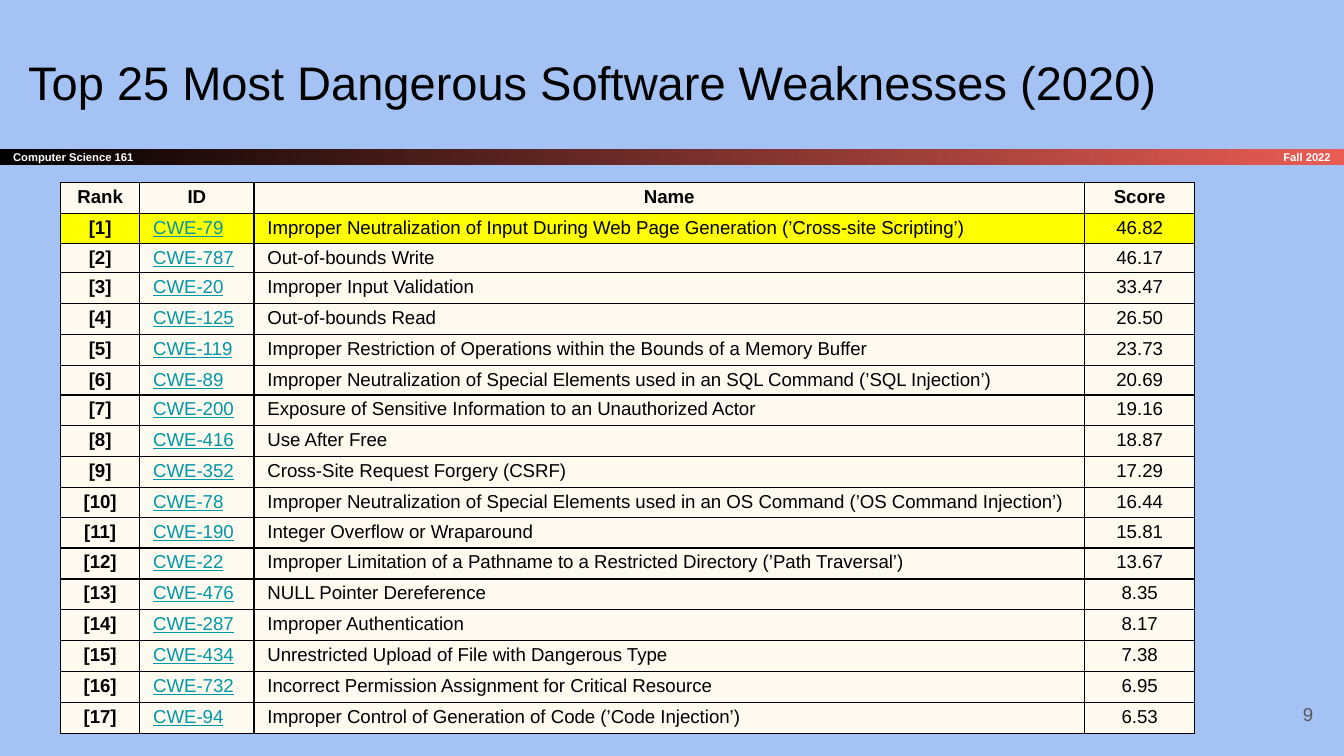
"""Build the slide that ranks the most dangerous software weaknesses of 2020."""
from dataclasses import dataclass

from lxml import etree
from pptx import Presentation
from pptx import util as u
from pptx.dml.color import RGBColor
from pptx.enum import shapes, text
from pptx.oxml import ns

SKY = RGBColor(0xA4, 0xC2, 0xF4)
BLACK = RGBColor(0x00, 0x00, 0x00)
WHITE = RGBColor(0xFF, 0xFF, 0xFF)
CORAL = RGBColor(0xE8, 0x5C, 0x54)
CREAM = RGBColor(0xFF, 0xFA, 0xF0)
YELLOW = RGBColor(0xFF, 0xFF, 0x00)
TEAL = RGBColor(0x00, 0x97, 0xA7)
GRAY = RGBColor(0x59, 0x59, 0x59)

LEFT, CENTER, RIGHT = text.PP_ALIGN.LEFT, text.PP_ALIGN.CENTER, text.PP_ALIGN.RIGHT
MIDDLE, BOTTOM = text.MSO_ANCHOR.MIDDLE, text.MSO_ANCHOR.BOTTOM
FONT = "Arial"
SLIDE_WIDTH = 10
SLIDE_HEIGHT = SLIDE_WIDTH * 9 / 16


@dataclass(frozen=True)
class Weakness:
    number: int
    name: str
    score: str


@dataclass(frozen=True)
class Column:
    heading: str
    width: float
    align: text.PP_ALIGN = CENTER
    color: RGBColor = BLACK
    bold: bool = False
    underline: bool = False


COLUMNS = [
    Column("Rank", 0.59, bold=True),
    Column("ID", 0.85, LEFT, TEAL, underline=True),
    Column("Name", 6.18, LEFT),
    Column("Score", 0.82),
]
WEAKNESSES = [
    Weakness(79, "Improper Neutralization of Input During Web Page Generation (’Cross-site Scripting’)", "46.82"),
    Weakness(787, "Out-of-bounds Write", "46.17"),
    Weakness(20, "Improper Input Validation", "33.47"),
    Weakness(125, "Out-of-bounds Read", "26.50"),
    Weakness(119, "Improper Restriction of Operations within the Bounds of a Memory Buffer", "23.73"),
    Weakness(89, "Improper Neutralization of Special Elements used in an SQL Command (’SQL Injection’)", "20.69"),
    Weakness(200, "Exposure of Sensitive Information to an Unauthorized Actor", "19.16"),
    Weakness(416, "Use After Free", "18.87"),
    Weakness(352, "Cross-Site Request Forgery (CSRF)", "17.29"),
    Weakness(78, "Improper Neutralization of Special Elements used in an OS Command (’OS Command Injection’)", "16.44"),
    Weakness(190, "Integer Overflow or Wraparound", "15.81"),
    Weakness(22, "Improper Limitation of a Pathname to a Restricted Directory (’Path Traversal’)", "13.67"),
    Weakness(476, "NULL Pointer Dereference", "8.35"),
    Weakness(287, "Improper Authentication", "8.17"),
    Weakness(434, "Unrestricted Upload of File with Dangerous Type", "7.38"),
    Weakness(732, "Incorrect Permission Assignment for Critical Resource", "6.95"),
    Weakness(94, "Improper Control of Generation of Code (’Code Injection’)", "6.53"),
]
ROW_HEIGHT, TIGHT_HEIGHT = 0.23, 0.22
TIGHT_ROWS = {1, 2, 6, 10}


def box(left: float, top: float, width: float, height: float) -> tuple:
    return tuple(u.Inches(length) for length in (left, top, width, height))


def write(frame, words: str, *, size: float = 10, color: RGBColor = BLACK, bold: bool = False,
          underline: bool = False, align: text.PP_ALIGN = LEFT) -> None:
    frame.text = words
    line = frame.paragraphs[0]
    line.alignment = align
    font = line.runs[0].font
    font.name, font.size, font.bold = FONT, u.Pt(size), bold
    font.underline = underline
    font.color.rgb = color


def set_frame(frame, anchor: text.MSO_ANCHOR) -> None:
    frame.word_wrap = True
    frame.auto_size = text.MSO_AUTO_SIZE.NONE
    frame.vertical_anchor = anchor
    frame.margin_left = frame.margin_right = u.Inches(0.1)
    frame.margin_top = frame.margin_bottom = u.Inches(0.1)


def add_label(slide, words: str, place: tuple, **style) -> None:
    frame = slide.shapes.add_textbox(*place).text_frame
    set_frame(frame, MIDDLE)
    write(frame, words, **style)


def add_course_bar(slide) -> None:
    bar = slide.shapes.add_shape(shapes.MSO_SHAPE.RECTANGLE, *box(0, 1.11, SLIDE_WIDTH, 0.12))
    bar.shadow.inherit = False
    bar.line.fill.background()
    bar.fill.gradient()
    bar.fill.gradient_angle = 0
    for stop, position, color in zip(bar.fill.gradient_stops, (0, 1), (BLACK, CORAL)):
        stop.position = position
        stop.color.rgb = color
    set_frame(bar.text_frame, MIDDLE)
    write(bar.text_frame, "Computer Science 161", size=6, color=WHITE, bold=True)
    add_label(slide, "Fall 2022", box(8.34, 1.11, 1.66, 0.12),
              size=6, color=WHITE, bold=True, align=RIGHT)


def style_cell(cell, fill: RGBColor) -> None:
    cell.margin_left = cell.margin_right = u.Inches(0.1)
    cell.margin_top = cell.margin_bottom = u.Inches(0.03)
    properties = cell._tc.get_or_add_tcPr()
    for side in ("a:lnL", "a:lnR", "a:lnT", "a:lnB"):
        border = etree.SubElement(properties, ns.qn(side), w=str(u.Pt(0.75)))
        paint = etree.SubElement(border, ns.qn("a:solidFill"))
        etree.SubElement(paint, ns.qn("a:srgbClr"), val=str(BLACK))
    cell.fill.solid()
    cell.fill.fore_color.rgb = fill


def add_ranking(slide) -> None:
    heights = [TIGHT_HEIGHT if row in TIGHT_ROWS else ROW_HEIGHT for row in range(len(WEAKNESSES) + 1)]
    place = box(0.45, 1.36, sum(column.width for column in COLUMNS), sum(heights))
    ranking = slide.shapes.add_table(len(heights), len(COLUMNS), *place).table
    for row, height in zip(ranking.rows, heights):
        row.height = u.Inches(height)
    for index, column in enumerate(COLUMNS):
        ranking.columns[index].width = u.Inches(column.width)
        heading = ranking.cell(0, index)
        style_cell(heading, CREAM)
        write(heading.text_frame, column.heading, bold=True, align=CENTER)
    for rank, weakness in enumerate(WEAKNESSES, start=1):
        values = (f"[{rank}]", f"CWE-{weakness.number}", weakness.name, weakness.score)
        for index, (column, value) in enumerate(zip(COLUMNS, values)):
            cell = ranking.cell(rank, index)
            style_cell(cell, YELLOW if rank == 1 else CREAM)
            write(cell.text_frame, value, color=column.color, bold=column.bold,
                  underline=column.underline, align=column.align)


def main() -> None:
    deck = Presentation()
    deck.slide_width, deck.slide_height = u.Inches(SLIDE_WIDTH), u.Inches(SLIDE_HEIGHT)
    slide = deck.slides.add_slide(deck.slide_layouts[5])
    slide.background.fill.solid()
    slide.background.fill.fore_color.rgb = SKY
    add_course_bar(slide)
    title = slide.shapes.title
    title.left, title.top, title.width, title.height = box(0.11, 0.29, 9.32, 0.63)
    set_frame(title.text_frame, BOTTOM)
    write(title.text_frame, "Top 25 Most Dangerous Software Weaknesses (2020)", size=25.2)
    add_label(slide, "9", box(9.27, 5.1, 0.6, 0.43), color=GRAY, align=RIGHT)
    add_ranking(slide)
    deck.save("out.pptx")


if __name__ == "__main__":
    main()
